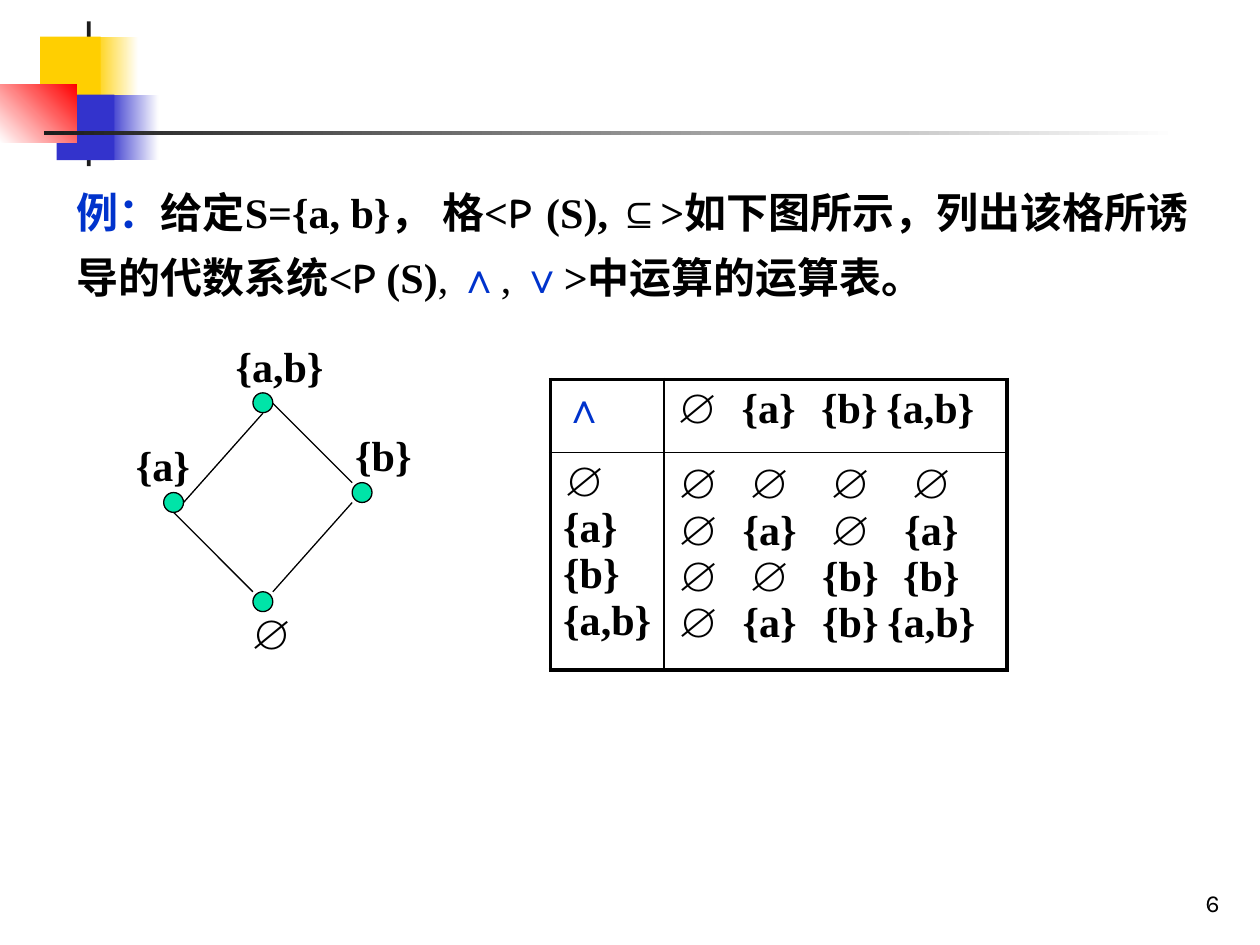
"""Build the lattice example slide with its Hasse diagram and meet operation table."""
import pptx
import pptx.chart.data
import pptx.dml.color
import pptx.enum.shapes
import pptx.enum.text
import pptx.oxml
import pptx.oxml.ns
import pptx.util
from lxml import etree

Cm, Pt = pptx.util.Cm, pptx.util.Pt
SHAPE = pptx.enum.shapes.MSO_SHAPE
ALIGN = pptx.enum.text.PP_ALIGN
ANCHOR = pptx.enum.text.MSO_ANCHOR
qn = pptx.oxml.ns.qn

COLORS = {"black": "000000", "white": "FFFFFF", "blue": "0033CC", "node": "00E4A8",
          "yellow": "FFCF01", "indigo": "3333CC", "red": "FF0000", "ink": "1C1C1C"}
SERIF = {"name": "Times New Roman", "size": Pt(24), "bold": True}
COMIC = {**SERIF, "name": "Comic Neue"}
PLAIN = {**SERIF, "bold": False}
NUMBER = {"name": "Karla", "size": Pt(14), "bold": False}

ORNAMENT = [
    ((1.88, 0.74, 0.91, 1.32), ("yellow", "white"), 0),
    ((2.18, 1.91, 1.02, 1.32), ("indigo", "white"), 0),
    ((1.75, 0.43, 0.08, 2.92), ("ink",), 0),
    ((0.81, 0.74, 1.22, 1.32), ("yellow",), 0),
    ((1.14, 1.91, 1.17, 1.32), ("indigo",), 0),
    ((0, 1.7, 1.55, 1.17), ("white", "red"), 45),
    ((0.89, 2.64, 22.86, 0.08), ("ink", "white"), 0),
]
EXAMPLE = [
    ("例：", SERIF, "blue"), ("给定S={a, b}， 格<", SERIF, "black"), ("P ", COMIC, "black"),
    ("(S), ⊆>如下图所示，列出该格所诱导的代数系统<", SERIF, "black"), ("P", COMIC, "black"),
    (" (S)", SERIF, "black"), (", ", PLAIN, "black"), ("∧", SERIF, "blue"),
    (", ", PLAIN, "black"), ("∨", SERIF, "blue"), (">中运算的运算表。", SERIF, "black"),
]
NODES = [
    ((5.1, 7.92), "{a,b}", (4.5, 6.73, 2.39, 1.27)),
    ((3.3, 9.93), "{a}", (2.49, 8.74, 1.7, 1.27)),
    ((5.1, 11.93), "∅", (4.8, 12.12, 1.5, 1.27)),
    ((7.1, 9.73), "{b}", (6.91, 8.53, 1.7, 1.27)),
]
DOT = 0.4
EDGES = [(3.5, 10.33, 5.1, 11.93), (5.5, 8.13, 7.1, 9.73),
         (7.1, 10.13, 5.5, 11.93), (3.7, 10.13, 5.3, 8.33)]
SETS = ["∅", "{a}", "{b}", "{a,b}"]
MEETS = [["∅", "∅", "∅", "∅"], ["∅", "{a}", "∅", "{a}"],
         ["∅", "∅", "{b}", "{b}"], SETS]
FRAME = {"at": (11.1, 7.65), "cols": [2.29, 6.91], "rows": [1.47, 4.39]}
RESULT = {"at": (13.41, 9.17), "cols": [6.81], "rows": [4.39]}
TABS = [1.85 + 1.63 * i for i in range(3)]


def rgb(color):
    return pptx.dml.color.RGBColor.from_string(COLORS[color])


def add_run(p, text, fmt, color="black"):
    r = p.add_run()
    r.text = text
    for key, value in fmt.items():
        setattr(r.font, key, value)
    r.font.color.rgb = rgb(color)


def add_shape(group, kind, box, colors, angle=0):
    sp = group.shapes.add_shape(kind, *map(Cm, box))
    sp.shadow.inherit = False
    sp.line.fill.background()
    if len(colors) == 1:
        sp.fill.solid()
        sp.fill.fore_color.rgb = rgb(colors[0])
    else:
        sp.fill.gradient()
        sp.fill.gradient_angle = angle
        for stop, color, position in zip(sp.fill.gradient_stops, colors, (0, 1)):
            stop.color.rgb = rgb(color)
            stop.position = position
    return sp


def add_text(parent, box, runs, **fmt):
    sp = parent.shapes.add_textbox(*map(Cm, box))
    tf = sp.text_frame
    tf.word_wrap = True
    p = tf.paragraphs[0]
    for key, value in fmt.items():
        setattr(p, key, value)
    for run in runs:
        add_run(p, *run)
    return tf


def set_border(cell, side, width):
    ln = etree.SubElement(cell._tc.get_or_add_tcPr(), qn(f"a:ln{side}"), w=str(Pt(width)))
    if width:
        fill = etree.SubElement(ln, qn("a:solidFill"))
        etree.SubElement(fill, qn("a:srgbClr"), val=COLORS["black"])
    else:
        etree.SubElement(ln, qn("a:noFill"))


def fill_cell(cell, lines, color):
    tf = cell.text_frame
    for i, line in enumerate(lines):
        p = tf.add_paragraph() if i else tf.paragraphs[0]
        if len(line) > 1:
            tabs = etree.SubElement(p._p.get_or_add_pPr(), qn("a:tabLst"))
            for tab in TABS:
                etree.SubElement(tabs, qn("a:tab"), pos=str(Cm(tab)), algn="ctr")
        add_run(p, "\t".join(line), SERIF, color)


def add_table(s, layout, contents, outer, inner):
    cols, rows = layout["cols"], layout["rows"]
    box = (*layout["at"], sum(cols), sum(rows))
    table = s.shapes.add_table(len(rows), len(cols), *map(Cm, box)).table
    table.first_row = table.horz_banding = False
    for column, width in zip(table.columns, cols):
        column.width = Cm(width)
    for row, height in zip(table.rows, rows):
        row.height = Cm(height)
    for (i, j), (lines, color) in contents.items():
        cell = table.cell(i, j)
        edges = {"L": j == 0, "R": j == len(cols) - 1, "T": i == 0, "B": i == len(rows) - 1}
        for side, is_outer in edges.items():
            set_border(cell, side, outer if is_outer else inner)
        cell.fill.background()
        fill_cell(cell, lines, color)


def add_diagram(s):
    group = s.shapes.add_group_shape()
    for dot, _, _ in NODES:
        sp = add_shape(group, SHAPE.OVAL, (*dot, DOT, DOT), ("node",))
        sp.line.color.rgb = rgb("black")
        sp.line.width = Pt(0.75)
    for _, label, box in NODES:
        add_text(group, box, [(label, SERIF)])
    for edge in EDGES:
        line = group.shapes.add_connector(
            pptx.enum.shapes.MSO_CONNECTOR.STRAIGHT, *map(Cm, edge))
        line.line.color.rgb = rgb("black")
        line.line.width = Pt(0.75)
        etree.SubElement(line._element.spPr, qn("a:effectLst"))


def main():
    prs = pptx.Presentation()
    prs.slide_width, prs.slide_height = Cm(25.4), Cm(19.05)
    s = prs.slides.add_slide(prs.slide_layouts[6])
    ornament = s.shapes.add_group_shape()
    for box, colors, angle in ORNAMENT:
        add_shape(ornament, SHAPE.RECTANGLE, box, colors, angle)
    number = add_text(s, (19.56, 17.35, 5.28, 1.27), [("6", NUMBER)], alignment=ALIGN.RIGHT)
    number.vertical_anchor = ANCHOR.BOTTOM
    add_text(s, (1.3, 3.33, 22.99, 2.9), EXAMPLE, line_spacing=1.3)
    add_diagram(s)
    add_table(s, FRAME, {
        (0, 0): ([["∧"]], "blue"),
        (0, 1): ([SETS], "black"),
        (1, 0): ([[name] for name in SETS], "black"),
        (1, 1): ([], "black"),
    }, 2.25, 1)
    add_table(s, RESULT, {(0, 0): (MEETS, "black")}, 0, 0)
    prs.save("out.pptx")


if __name__ == "__main__":
    main()
